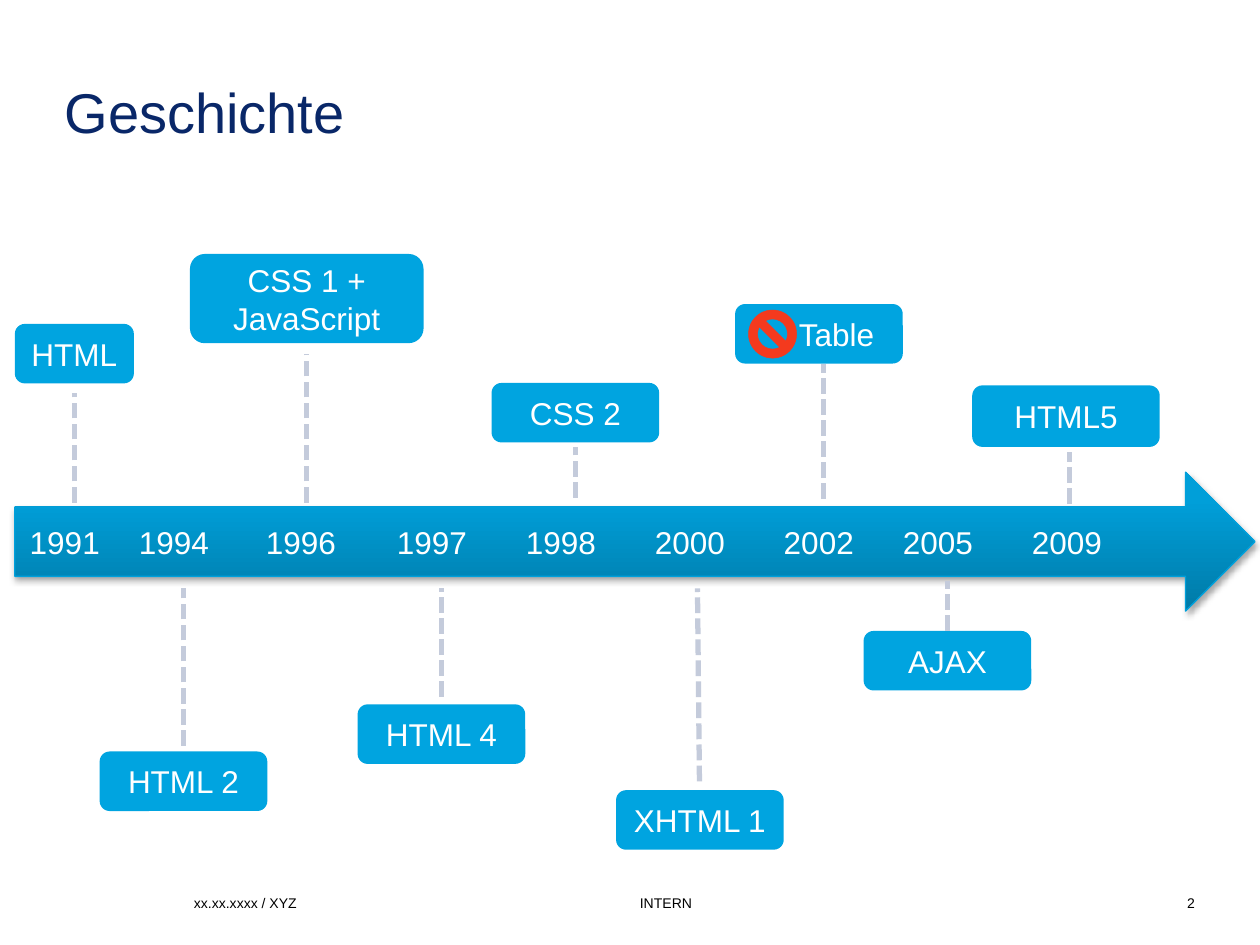
import pptx
import pptx.util
import pptx.dml.color
import pptx.enum.dml
import pptx.enum.shapes
import pptx.enum.text
import pptx.oxml
import pptx.oxml.ns

Cm = pptx.util.Cm
Pt = pptx.util.Pt
Shape = pptx.enum.shapes.MSO_SHAPE
Align = pptx.enum.text.PP_ALIGN
Anchor = pptx.enum.text.MSO_ANCHOR

COLORS = {
    "title": "092768", "footer": "000000", "white": "FFFFFF", "box": "00A4E0",
    "arrow_dark": "007AA7", "arrow_light": "009FD9", "arrow_line": "00A0DB",
    "dash": "C4CBDB", "ban": "F43A1E",
}
EFFECTS = '<a:effectLst xmlns:a="http://schemas.openxmlformats.org/drawingml/2006/main">%s</a:effectLst>'
ARROW_SHADOW = (
    '<a:outerShdw blurRad="40000" dist="23000" dir="5400000" rotWithShape="0">'
    '<a:srgbClr val="000000"><a:alpha val="35000"/></a:srgbClr></a:outerShdw>'
)


def rgb(name):
    return pptx.dml.color.RGBColor.from_string(COLORS[name])


def write(shape, text, size, color, align=Align.LEFT, anchor=Anchor.TOP, margins=None):
    frame = shape.text_frame
    frame.text = text
    frame.vertical_anchor = anchor
    if margins:
        frame.margin_left, frame.margin_top, frame.margin_right, frame.margin_bottom = map(Cm, margins)
    paragraph = frame.paragraphs[0]
    paragraph.alignment = align
    font = paragraph.runs[0].font
    font.name, font.size, font.color.rgb = "Arial", Pt(size), rgb(color)
    return paragraph


deck = pptx.Presentation()
deck.slide_width, deck.slide_height = Cm(25.4), Cm(19.05)
slide = deck.slides.add_slide(deck.slide_layouts[5])
shapes = slide.shapes

title = shapes.title
title.left, title.top, title.width, title.height = Cm(1.3), Cm(1.52), Cm(22.8), Cm(1.4)
heading = write(title, "Geschichte", 32, "title", anchor=Anchor.BOTTOM, margins=(0, 0, 0, 0))
heading.line_spacing = Pt(32)
title.text_frame.auto_size = pptx.enum.text.MSO_AUTO_SIZE.NONE

for text, left, width, align in [
    ("xx.xx.xxxx / XYZ", 3.91, 8.61, Align.LEFT),
    ("INTERN", 12.9, 9.8, Align.LEFT),
    ("2", 23.09, 1, Align.RIGHT),
]:
    footer = shapes.add_textbox(Cm(left), Cm(17.93), Cm(width), Cm(0.53))
    footer.text_frame.word_wrap = True
    write(footer, text, 8, "footer", align, margins=(0, 0.1, 0, 0))

milestones = [
    ("HTML", 0.3, 6.53, 2.4, 1.2),
    ("HTML 2", 2.01, 15.15, 3.38, 1.2),
    ("CSS 1 + JavaScript", 3.83, 5.12, 4.71, 1.8),
    ("HTML 4", 7.21, 14.2, 3.38, 1.2),
    ("CSS 2", 9.91, 7.72, 3.38, 1.2),
    ("XHTML 1", 12.42, 15.93, 3.38, 1.2),
    ("Table", 14.82, 6.13, 3.38, 1.2),
    ("AJAX", 17.41, 12.72, 3.38, 1.2),
    ("HTML5", 19.6, 7.77, 3.78, 1.24),
]
boxes = {}
for text, left, top, width, height in milestones:
    box = shapes.add_shape(Shape.ROUNDED_RECTANGLE, Cm(left), Cm(top), Cm(width), Cm(height))
    box.shadow.inherit = False
    box.fill.solid()
    box.fill.fore_color.rgb = rgb("box")
    box.line.fill.background()
    write(box, text, 18, "white", Align.CENTER, Anchor.MIDDLE)
    boxes[text] = box
boxes["Table"].text_frame.margin_left = Cm(0.96)

timeline = shapes.add_shape(Shape.RIGHT_ARROW, Cm(0.3), Cm(9.52), Cm(25), Cm(2.8))
timeline.fill.gradient()
timeline.fill.gradient_angle = 90
for stop, color, position in zip(timeline.fill.gradient_stops, ("arrow_dark", "arrow_light"), (0, 0.8)):
    stop.color.rgb = rgb(color)
    stop.position = position
timeline.line.color.rgb = rgb("arrow_line")
timeline.line.width = Pt(0.75)
timeline.element.spPr.append(pptx.oxml.parse_xml(EFFECTS % ARROW_SHADOW))

years = shapes.add_group_shape()
for year, left in [
    (1991, 0.6), (1994, 2.8), (1996, 5.36), (1997, 8), (1998, 10.6),
    (2000, 13.2), (2002, 15.8), (2005, 18.2), (2009, 20.8),
]:
    label = years.shapes.add_textbox(Cm(left), Cm(10.44), Cm(1.8), Cm(1))
    label.text_frame.word_wrap = False
    write(label, str(year), 18, "white", margins=(0, 0, 0, 0)).line_spacing = 1.14

for milestone, x_start, y_start, x_end, y_end in [
    ("HTML", 1.5, 10.13, 1.5, 7.92),
    ("CSS 1 + JavaScript", 6.18, 10.13, 6.18, 7.13),
    ("HTML 2", 3.7, 15.03, 3.7, 11.86),
    ("HTML 4", 8.9, 14.05, 8.9, 11.86),
    ("CSS 2", 11.6, 10.03, 11.6, 9.02),
    ("XHTML 1", 14.1, 15.75, 14.06, 11.86),
    ("Table", 16.6, 10.06, 16.6, 7.33),
    ("AJAX", 19.1, 12.72, 19.1, 11.71),
    ("HTML5", 21.56, 10.16, 21.56, 9.12),
]:
    stem = shapes.add_connector(
        pptx.enum.shapes.MSO_CONNECTOR.STRAIGHT, Cm(x_start), Cm(y_start), Cm(x_end), Cm(y_end))
    if milestone == "AJAX":
        stem.begin_connect(boxes[milestone], 0)
    stem.line.color.rgb = rgb("dash")
    stem.line.width = Pt(3)
    stem.line.dash_style = pptx.enum.dml.MSO_LINE.SQUARE_DOT
    stem.line._ln.find(pptx.oxml.ns.qn("a:prstDash")).set("val", "sysDash")
    stem.element.spPr.append(pptx.oxml.parse_xml(EFFECTS % ""))

ban = shapes.add_shape(Shape.NO_SYMBOL, Cm(15.09), Cm(6.25), Cm(0.97), Cm(0.97))
ban.shadow.inherit = False
ban.fill.solid()
ban.fill.fore_color.rgb = rgb("ban")
ban.line.color.rgb = rgb("ban")
ban.line.width = Pt(0.25)

deck.save("out.pptx")
